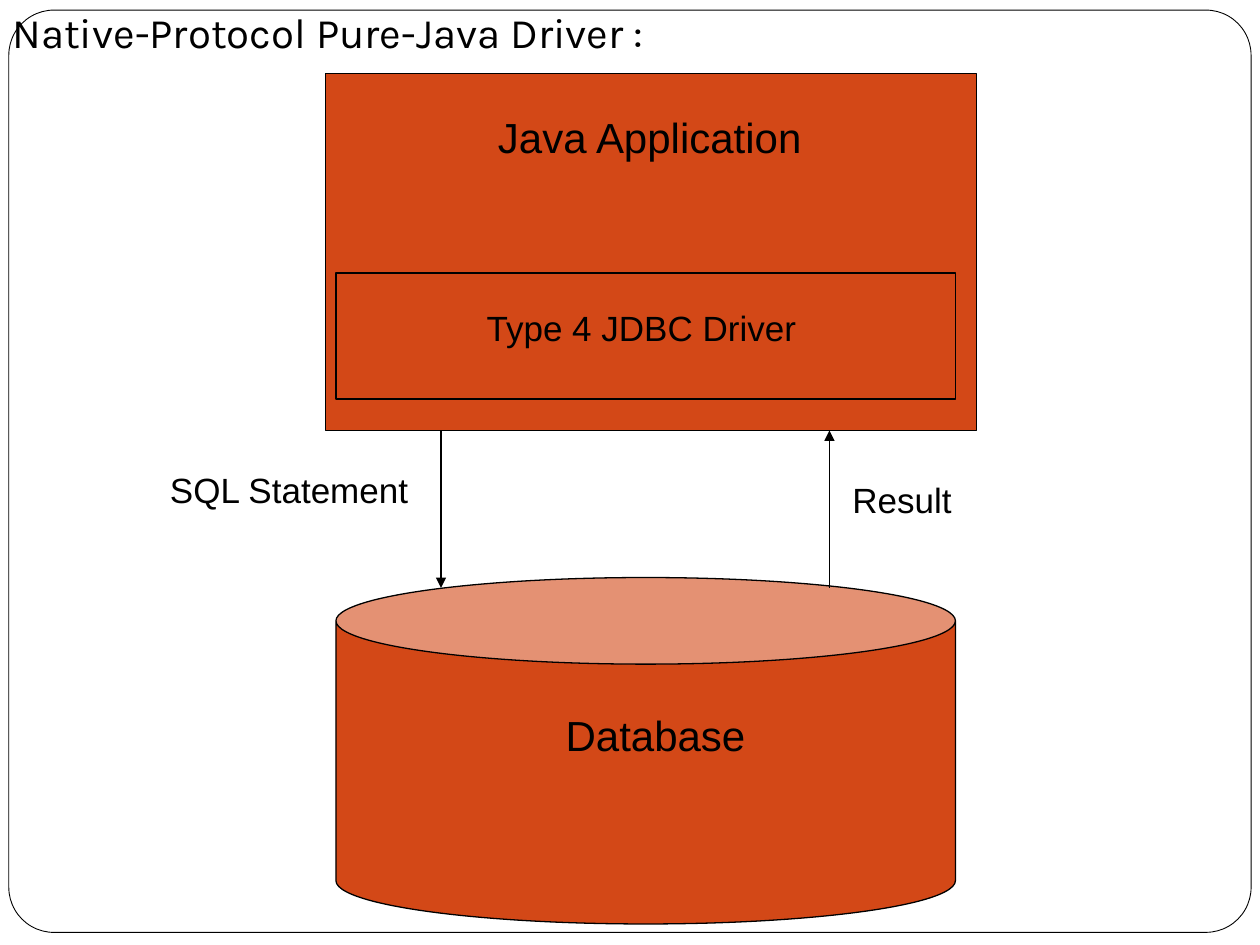
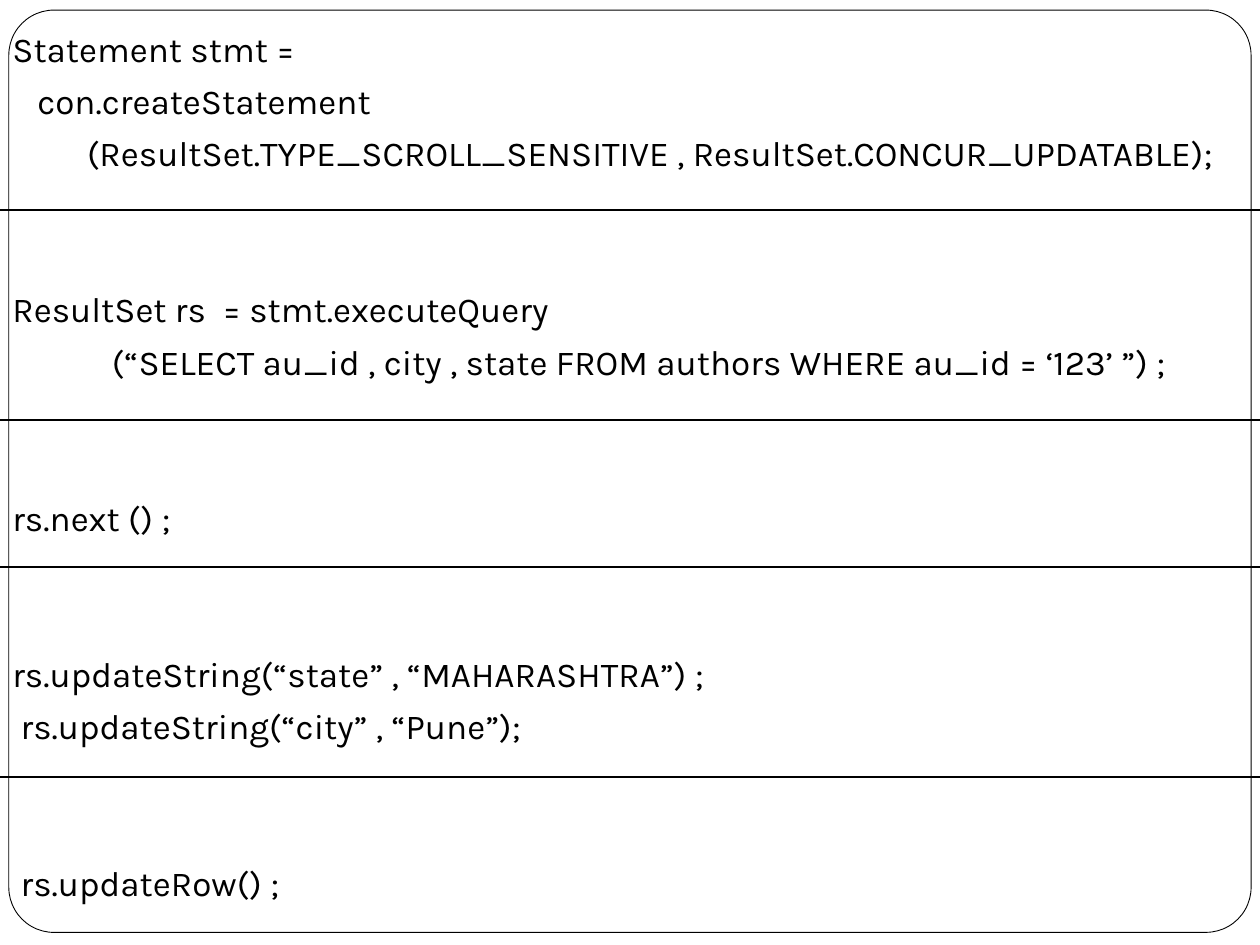
"""Build two slides: a type 4 JDBC driver diagram and an updatable result set example."""
from dataclasses import dataclass

import pptx
import pptx.dml.color
import pptx.enum.shapes
import pptx.enum.text
import pptx.oxml.ns
import pptx.util
from lxml import etree


@dataclass(frozen=True)
class Theme:
    ink: pptx.dml.color.RGBColor = pptx.dml.color.RGBColor.from_string("000000")
    paper: pptx.dml.color.RGBColor = pptx.dml.color.RGBColor.from_string("FFFFFF")
    block: pptx.dml.color.RGBColor = pptx.dml.color.RGBColor.from_string("D34817")
    body_font: str = "Karla"
    label_font: str = "Arial"
    large: float = 24
    normal: float = 20
    line_gap: float = 5.8
    group_gap: float = 65.3
    hanging: float = 0.3
    frame_line: float = 0.5
    thin_line: float = 0.75


theme = Theme()
preset = pptx.enum.shapes.MSO_SHAPE
deck = pptx.Presentation()
deck.slide_width = pptx.util.Inches(10)
deck.slide_height = pptx.util.Inches(7.5)
column = deck.slide_width // 120
row = deck.slide_height // 90


def write(slide, text, left, top, width, height, font=theme.label_font,
          size=theme.normal, margin=0.0, hanging=0.0):
    """Write groups of lines, parted by a blank line in text, at a grid position."""
    area = slide.shapes.add_textbox(int(left * column), int(top * row),
                                    int(width * column), int(height * row))
    frame = area.text_frame
    frame.word_wrap = True
    paragraph = frame.paragraphs[0]
    gap = 0
    for group in text.split("\n\n"):
        for line in group.split("\n"):
            if gap:
                paragraph = frame.add_paragraph()
                paragraph.space_before = pptx.util.Pt(gap)
            properties = paragraph._p.get_or_add_pPr()
            properties.set("marL", str(pptx.util.Inches(margin + hanging)))
            properties.set("indent", str(pptx.util.Inches(-hanging)))
            run = paragraph.add_run()
            run.text = line
            run.font.name = font
            run.font.size = pptx.util.Pt(size)
            run.font.color.rgb = theme.ink
            gap = theme.line_gap
        gap = theme.group_gap


def draw(slide, kind, left, top, width, height, fill, line_width, adjust=None):
    """Draw an outlined preset shape at a grid position."""
    figure = slide.shapes.add_shape(kind, int(left * column), int(top * row),
                                    int(width * column), int(height * row))
    figure.shadow.inherit = False
    figure.fill.solid()
    figure.fill.fore_color.rgb = fill
    figure.line.color.rgb = theme.ink
    figure.line.width = pptx.util.Pt(line_width)
    if adjust is not None:
        figure.adjustments[0] = adjust


blank = deck.slide_layouts[6]
architecture, update_code = [deck.slides.add_slide(blank) for _ in range(2)]
for slide in (architecture, update_code):
    draw(slide, preset.ROUNDED_RECTANGLE, 0.84, 0.96, 118.32, 87.84,
         theme.paper, theme.frame_line, 0.049)

write(architecture, "Native-Protocol Pure-Java Driver :", 0, 0, 120, 90,
      font=theme.body_font, size=theme.large, hanging=theme.hanging)

for kind, left, top, width, height, adjust in (
    (preset.RECTANGLE, 31, 7, 62, 34, None),
    (preset.RECTANGLE, 32, 26, 59, 12, None),
    (preset.CAN, 32, 55, 59, 33, 0.25),
):
    draw(architecture, kind, left, top, width, height, theme.block, theme.thin_line, adjust)

for label, left, top, width, size, margin in (
    ("Java Application", 34, 10, 56, theme.large, 1.02),
    ("Type 4 JDBC Driver", 34, 28.6, 55, theme.normal, 0.93),
    ("SQL Statement", 15, 44, 28, theme.normal, 0),
    ("Result", 80, 45, 21, theme.normal, 0),
    ("Database", 36, 67, 52, theme.large, 1.39),
):
    write(architecture, label, left, top, width, 6, size=size, margin=margin)

code = """Statement stmt =
   con.createStatement
         (ResultSet.TYPE_SCROLL_SENSITIVE , ResultSet.CONCUR_UPDATABLE);

ResultSet rs  = stmt.executeQuery
            (“SELECT au_id , city , state FROM authors WHERE au_id = ‘123’ ”) ;

rs.next () ;

rs.updateString(“state” , “MAHARASHTRA”) ;
 rs.updateString(“city” , “Pune”);

 rs.updateRow() ;"""
write(update_code, code, 0, 2, 120, 88, font=theme.body_font, hanging=theme.hanging)

request_and_reply = [(architecture, 42, 41, 42, 56, True),
                     (architecture, 79, 56, 79, 41, True)]
step_dividers = [(update_code, 0, level, 120, level, False) for level in (20, 40, 54, 74)]
for slide, start_x, start_y, end_x, end_y, has_arrow in request_and_reply + step_dividers:
    link = slide.shapes.add_connector(
        pptx.enum.shapes.MSO_CONNECTOR.STRAIGHT,
        start_x * column, start_y * row, end_x * column, end_y * row)
    link.line.color.rgb = theme.ink
    link.line.width = pptx.util.Pt(theme.thin_line)
    if has_arrow:
        etree.SubElement(link.line._get_or_add_ln(),
                         pptx.oxml.ns.qn("a:tailEnd"), type="triangle")
    etree.SubElement(link._element.spPr, pptx.oxml.ns.qn("a:effectLst"))

deck.save("out.pptx")
